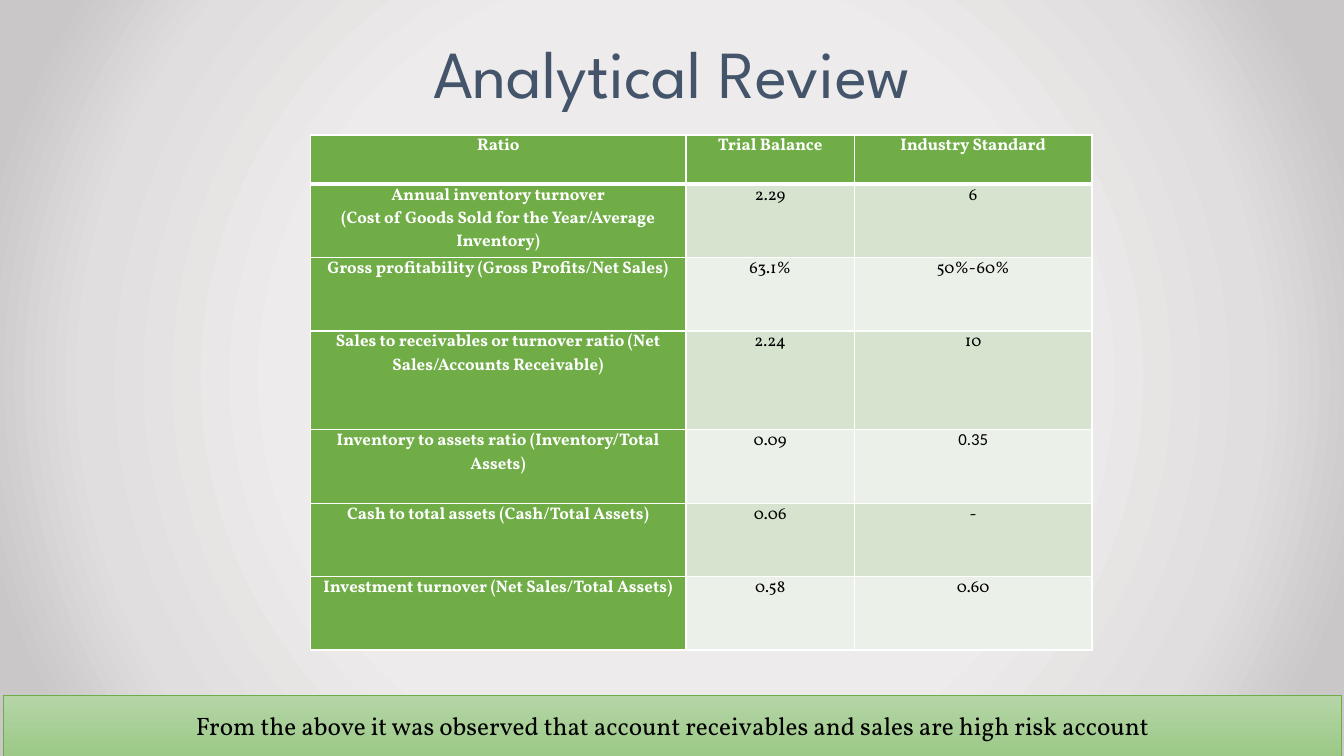
import pptx
import pptx.dml.color
import pptx.enum.shapes
import pptx.enum.text
import pptx.oxml
import pptx.oxml.ns
import pptx.util

Cm, Pt = pptx.util.Cm, pptx.util.Pt
RGBColor = pptx.dml.color.RGBColor
Anchor = pptx.enum.text.MSO_ANCHOR

# Content
TITLE = "Analytical Review"
NOTE = ("From the above it was observed that account receivables "
        "and sales are high risk account")
HEAD = (["Ratio"], ["Trial Balance"], ["Industry Standard"])
RATIOS = [
    (["Annual inventory turnover",
      "(Cost of Goods Sold for the Year/Average Inventory)"], ["2.29"], ["6"]),
    (["Gross profitability (Gross Profits/Net Sales)"], ["63.1%"], ["50%-60%"]),
    (["Sales to receivables or turnover ratio (Net Sales/Accounts Receivable)"],
     ["2.24"], ["10"]),
    (["Inventory to assets ratio (Inventory/Total Assets)"], ["0.09"], ["0.35"]),
    (["Cash to total assets (Cash/Total Assets)"], ["0.06"], ["-"]),
    (["Investment turnover (Net Sales/Total Assets)"], ["0.58"], ["0.60"]),
]
WIDTHS = (9.47, 4.24, 5.99)
HEIGHTS = (1.24, 1.85, 1.85, 2.49, 1.85, 1.85, 1.85)

# Colours and fonts
WHITE = RGBColor(0xFF, 0xFF, 0xFF)
BLACK = RGBColor(0, 0, 0)
SLATE = RGBColor(0x44, 0x54, 0x6A)
GREEN = RGBColor(0x70, 0xAD, 0x47)
BANDS = (RGBColor(0xD5, 0xE3, 0xCF), RGBColor(0xEB, 0xF1, 0xE9))
BAR = (RGBColor(0xB5, 0xD5, 0xA7), RGBColor(0x9C, 0xC9, 0x87))
GLOW = ((50, RGBColor(0xED, 0xEB, 0xEB)), (76, RGBColor(0xE0, 0xDE, 0xDE)),
        (92, RGBColor(0xC9, 0xC7, 0xC7)))
SERIF, SANS, PLAIN = "Vollkorn", "League Spartan", "Calibri"


def write(frame, lines, size, color, font=SERIF, bold=False):
    frame.word_wrap = True
    for i, line in enumerate(lines):
        para = frame.add_paragraph() if i else frame.paragraphs[0]
        para.alignment = pptx.enum.text.PP_ALIGN.CENTER
        run = para.add_run()
        run.text = line
        run.font.size = Pt(size)
        run.font.name = font
        run.font.bold = bold
        run.font.color.rgb = color


def edge(cell, side, width):
    cell._tc.get_or_add_tcPr().append(pptx.oxml.parse_xml(
        f'<a:{side} {pptx.oxml.ns.nsdecls("a")} w="{Pt(width)}"><a:solidFill>'
        f'<a:srgbClr val="{WHITE}"/></a:solidFill></a:{side}>'))


deck = pptx.Presentation()
deck.slide_width, deck.slide_height = Cm(33.87), Cm(19.05)
slide = deck.slides.add_slide(deck.slide_layouts[6])

# Radial background
slide.background.fill.gradient()
grad = slide.element.find(".//" + pptx.oxml.ns.qn("a:gradFill"))
stops = "".join(f'<a:gs pos="{pos * 1000}"><a:srgbClr val="{color}"/></a:gs>'
                for pos, color in GLOW)
grad.getparent().replace(grad, pptx.oxml.parse_xml(
    f'<a:gradFill {pptx.oxml.ns.nsdecls("a")} rotWithShape="1">'
    f'<a:gsLst>{stops}</a:gsLst><a:path path="circle">'
    '<a:fillToRect l="50000" t="50000" r="50000" b="50000"/>'
    '</a:path></a:gradFill>'))

# Title
title = slide.shapes.add_textbox(Cm(1.7), Cm(0.58), Cm(30.48), Cm(2.36))
title.text_frame.vertical_anchor = Anchor.BOTTOM
write(title.text_frame, [TITLE], 48, SLATE, SANS)
title.text_frame.paragraphs[0].line_spacing = Pt(48)

# Ratio table
rows = [HEAD] + RATIOS
table = slide.shapes.add_table(len(rows), len(HEAD), Cm(7.82), Cm(3.4),
                               Cm(sum(WIDTHS)), Cm(sum(HEIGHTS))).table
for col, width in zip(table.columns, WIDTHS):
    col.width = Cm(width)
for r, row in enumerate(rows):
    table.rows[r].height = Cm(HEIGHTS[r])
    for c, lines in enumerate(row):
        cell = table.cell(r, c)
        cell.margin_left = cell.margin_right = Cm(0.19)
        cell.margin_top = cell.margin_bottom = 0
        label = r == 0 or c == 0
        font = PLAIN if lines == ["0.35"] else SERIF
        write(cell.text_frame, lines, 12, WHITE if label else BLACK, font, label)
        for side, thick in (("lnL", False), ("lnR", False),
                            ("lnT", r == 1), ("lnB", r == 0)):
            edge(cell, side, 3 if thick else 1)
        cell.fill.solid()
        cell.fill.fore_color.rgb = GREEN if label else BANDS[(r - 1) % 2]

# Conclusion bar
bar = slide.shapes.add_shape(pptx.enum.shapes.MSO_SHAPE.RECTANGLE,
                             Cm(0.08), Cm(17.53), Cm(33.73), Cm(1.52))
bar.shadow.inherit = False
bar.fill.gradient()
bar.fill.gradient_angle = 270
for stop, color in zip(bar.fill.gradient_stops, BAR):
    stop.color.rgb = color
bar.line.color.rgb = GREEN
bar.line.width = Pt(0.5)
bar.text_frame.vertical_anchor = Anchor.MIDDLE
write(bar.text_frame, [NOTE], 18, BLACK)

deck.save("out.pptx")
